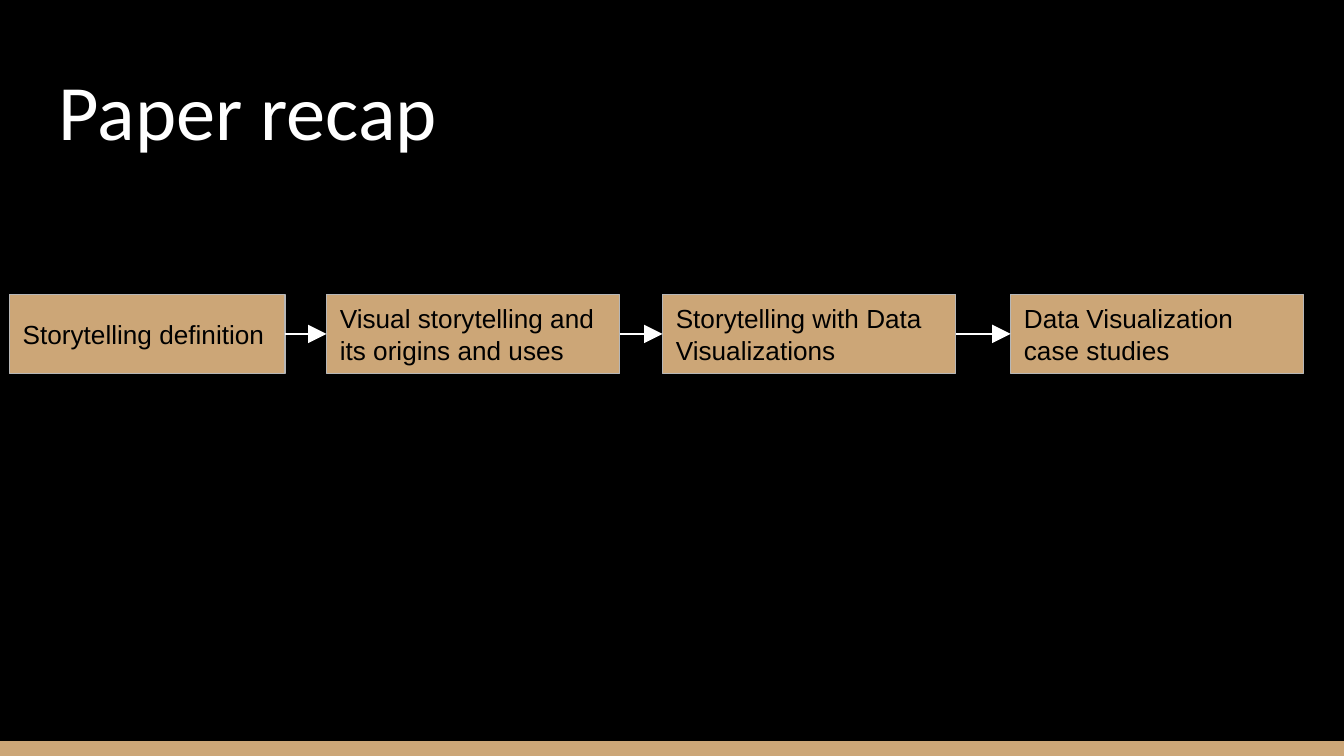
from pptx import Presentation
from pptx.dml.color import RGBColor
from pptx.enum.shapes import MSO_CONNECTOR as CONN, MSO_SHAPE as SHAPE
from pptx.enum.text import MSO_ANCHOR as ANCHOR, PP_ALIGN as ALIGN
from pptx.oxml.ns import qn
from pptx.util import Inches, Pt
from lxml import etree

# Content
TITLE = "Paper recap"
STEPS = [  # text, left, width
    ("Storytelling definition", 0.07, 2.05),
    ("Visual storytelling and its origins and uses", 2.43, 2.18),
    ("Storytelling with Data Visualizations", 4.93, 2.18),
    ("Data Visualization case studies", 7.52, 2.18),
]
COLORS = {"bg": "000000", "tan": "CCA677", "border": "B7B7B7",
          "light": "FFFFFF", "dark": "000000"}
SLIDE_W = 10
SLIDE_H = SLIDE_W * 9 / 16
STEP_TOP, STEP_H = 2.19, 0.59
BAR_H = 0.11


def rgb(name):
    return RGBColor.from_string(COLORS[name])


def add_box(s, left, top, width, height):
    sp = s.shapes.add_shape(SHAPE.RECTANGLE, Inches(left), Inches(top),
                            Inches(width), Inches(height))
    sp.shadow.inherit = False
    sp.fill.solid()
    sp.fill.fore_color.rgb = rgb("tan")
    sp.line.fill.background()
    return sp


def write(sp, text, font, size, color, anchor):
    tf = sp.text_frame
    tf.word_wrap = True
    tf.vertical_anchor = anchor
    tf.margin_left = tf.margin_right = Inches(0.1)
    tf.margin_top = tf.margin_bottom = Inches(0.1)
    p = tf.paragraphs[0]
    p.alignment = ALIGN.LEFT
    r = p.add_run()
    r.text = text
    r.font.name = font
    r.font.size = Pt(size)
    r.font.color.rgb = rgb(color)


def add_arrow(s, start, end):
    arrow = s.shapes.add_connector(CONN.STRAIGHT, 0, 0, 0, 0)
    arrow.begin_connect(start, 3)
    arrow.end_connect(end, 1)
    arrow.line.width = Pt(0.75)
    arrow.line.color.rgb = rgb("light")
    ln = arrow.line._get_or_add_ln()
    etree.SubElement(ln, qn("a:tailEnd"), type="triangle", w="lg", len="lg")
    etree.SubElement(arrow._element.spPr, qn("a:effectLst"))


def main():
    prs = Presentation()
    prs.slide_width, prs.slide_height = Inches(SLIDE_W), Inches(SLIDE_H)
    s = prs.slides.add_slide(prs.slide_layouts[6])
    s.background.fill.solid()
    s.background.fill.fore_color.rgb = rgb("bg")

    # Bottom bar and title
    add_box(s, 0, SLIDE_H - BAR_H, SLIDE_W, BAR_H)
    title = s.shapes.add_textbox(Inches(0.34), Inches(0.35),
                                 Inches(9.32), Inches(0.91))
    write(title, TITLE, "Calibri", 42, "light", ANCHOR.BOTTOM)

    # Steps
    boxes = []
    for text, left, width in STEPS:
        sp = add_box(s, left, STEP_TOP, width, STEP_H)
        sp.line.color.rgb = rgb("border")
        sp.line.width = Pt(0.75)
        write(sp, text, "Arial", 14, "dark", ANCHOR.MIDDLE)
        boxes.append(sp)

    # Arrows between neighbouring steps
    for start, end in zip(boxes, boxes[1:]):
        add_arrow(s, start, end)

    prs.save("out.pptx")


if __name__ == "__main__":
    main()
